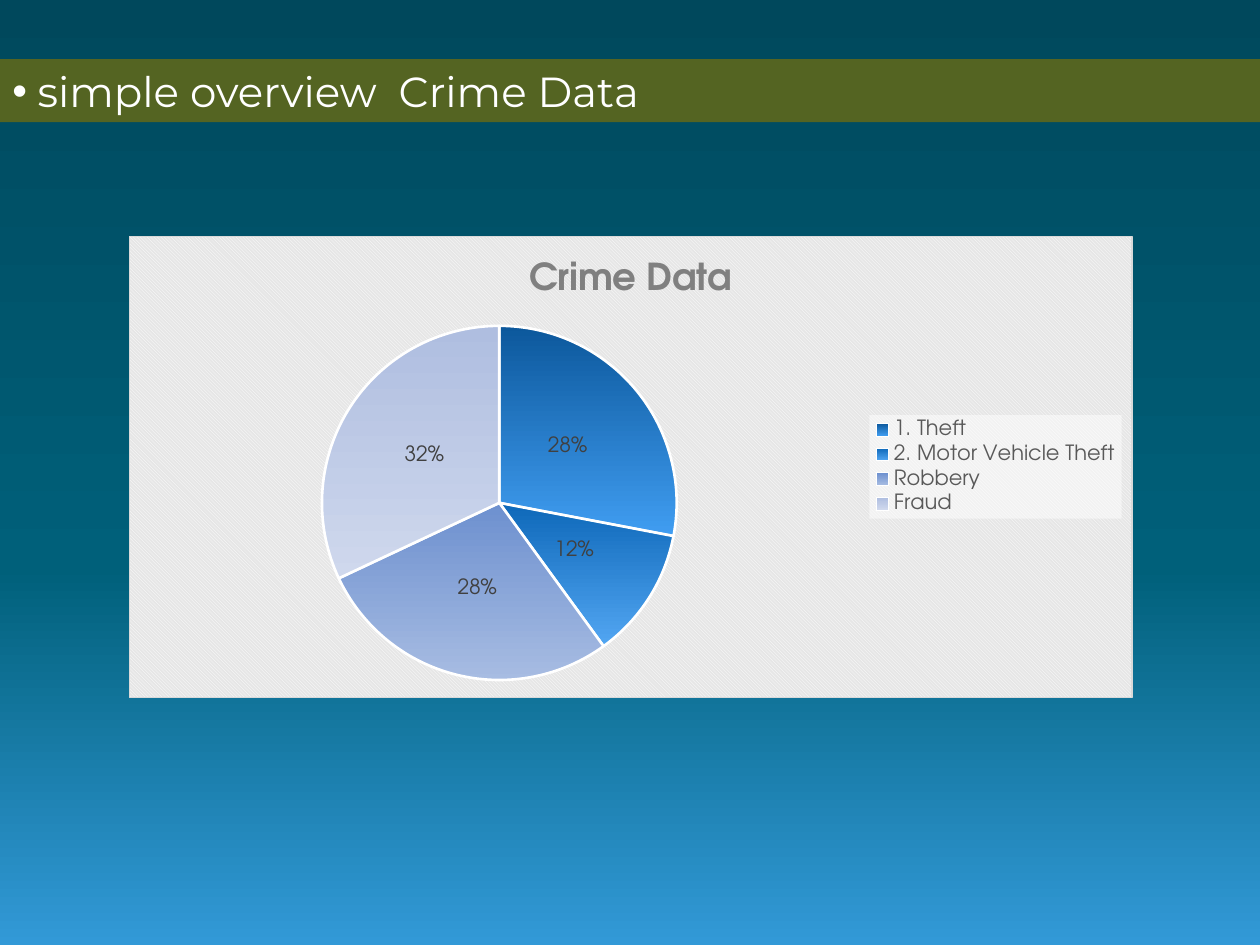
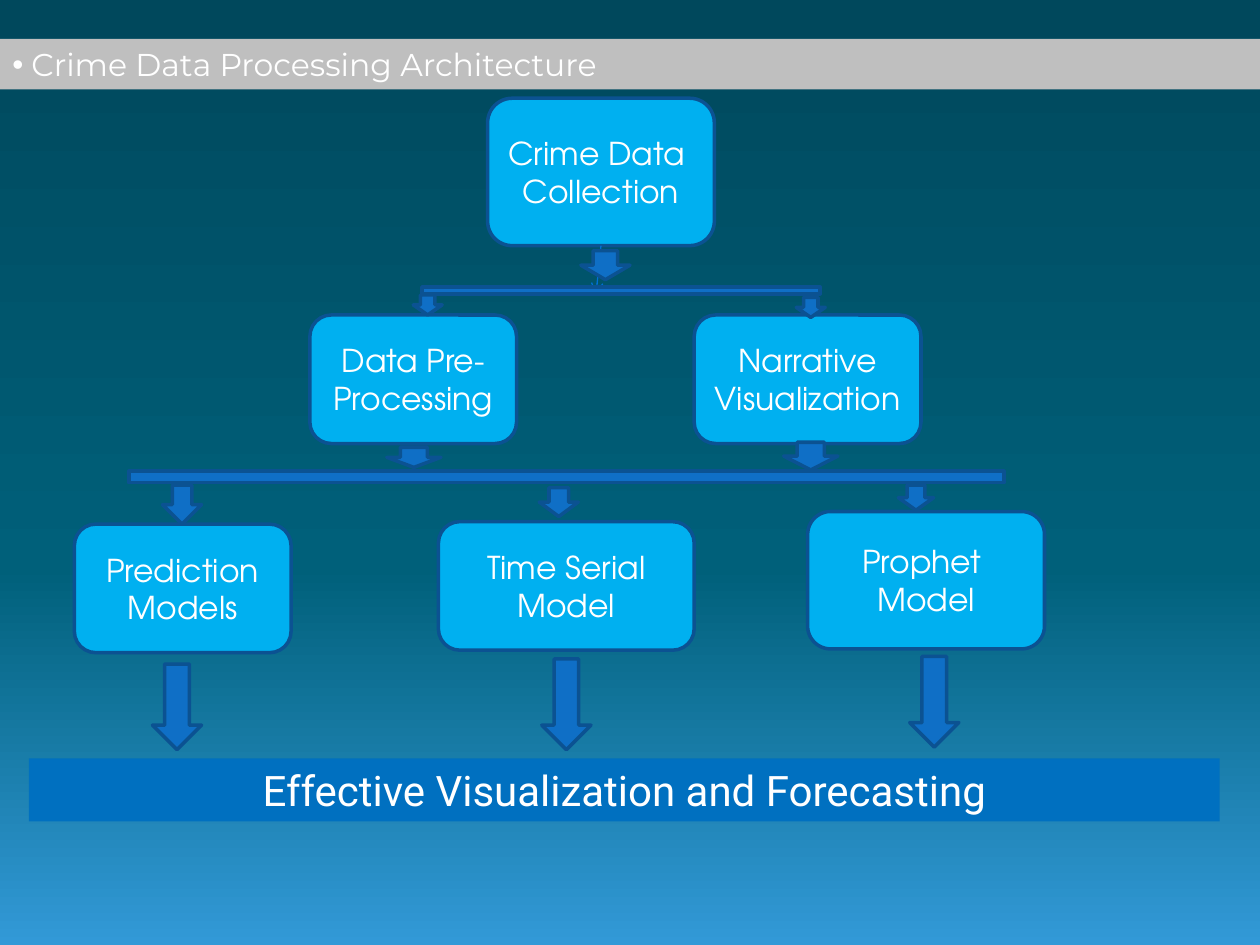
"""Build two slides on crime data: an overview chart and a processing architecture."""
from copy import deepcopy
from dataclasses import dataclass

from lxml.etree import SubElement
from pptx import Presentation
from pptx.chart.data import CategoryChartData as ChartData
from pptx.dml.color import RGBColor
from pptx.dml.fill import FillFormat
from pptx.enum.chart import XL_CHART_TYPE as ChartType
from pptx.enum.chart import XL_LABEL_POSITION as LabelPosition
from pptx.enum.chart import XL_LEGEND_POSITION as LegendPosition
from pptx.enum.shapes import MSO_CONNECTOR as Connector
from pptx.enum.shapes import MSO_SHAPE as Preset
from pptx.enum.text import MSO_ANCHOR as Anchor
from pptx.enum.text import PP_ALIGN as Align
from pptx.oxml import parse_xml
from pptx.oxml.ns import nsdecls, qn
from pptx.shapes.autoshape import Shape
from pptx.slide import Slide
from pptx.util import Inches, Pt

COLORS = {
    "white": "FFFFFF",
    "olive": "546422",
    "silver": "BFBFBF",
    "outcome": "0070C0",
    "stage": "00B0F0",
    "flow": "0F6FC6",
    "outline": "0B5292",
    "link": "0070D5",
    "chart_title": "808080",
    "legend_text": "595959",
    "label_text": "404040",
    "chart_hatch": "E6E6E6",
    "chart_border": "D9D9D9",
}
BACKDROP = [(0, "00485C"), (0.6, "00607A"), (1, "3299D7")]
TITLE_FONT, BODY_FONT, OUTCOME_FONT = "Montserrat", "TeX Gyre Adventor", "Roboto"


@dataclass(frozen=True)
class Block:
    """A preset shape's place in inches, with its text."""

    left: float
    top: float
    width: float
    height: float
    text: str = ""


@dataclass(frozen=True)
class Offence:
    """A slice of the crime chart with its gradient ends."""

    label: str
    share: int
    start: str
    end: str


OFFENCES = [
    Offence("1. Theft", 28, "0C589C", "409DF1"),
    Offence("2. Motor Vehicle Theft", 12, "0E68B9", "52A6F2"),
    Offence("Robbery", 28, "6D90CF", "A7BCE2"),
    Offence("Fraud", 32, "AFBEE0", "CFD8ED"),
]
COLLECTION = Block(3.87, 0.78, 1.8, 1.17, "Crime Data \nCollection")
STAGES = [
    Block(2.46, 2.5, 1.64, 1.02, "Data Pre-Processing"),
    Block(5.51, 2.5, 1.8, 1.02, "Narrative\nVisualization"),
    Block(0.59, 4.16, 1.72, 1.02, "Prediction\nModels"),
    Block(3.48, 4.14, 2.03, 1.02, "Time Serial Model"),
    Block(6.41, 4.06, 1.88, 1.09, "Prophet \nModel"),
]
BRANCH_BARS = [Block(2.78, 2.19, 4.3, 0.23), Block(-0.23, 3.59, 9.45, 0.39)]
FLOW_ARROWS = [
    Block(4.61, 1.99, 0.39, 0.23),
    Block(3.28, 2.34, 0.23, 0.16),
    Block(6.32, 2.36, 0.23, 0.16),
    Block(3.07, 3.55, 0.43, 0.16),
    Block(6.22, 3.51, 0.43, 0.22),
    Block(1.29, 3.85, 0.31, 0.31),
    Block(4.28, 3.87, 0.31, 0.23),
    Block(7.13, 3.85, 0.28, 0.2),
    Block(1.21, 5.27, 0.39, 0.68),
    Block(4.3, 5.23, 0.39, 0.72),
    Block(7.22, 5.21, 0.39, 0.72),
]


def rgb(name: str) -> RGBColor:
    """Look up a named colour."""
    return RGBColor.from_string(COLORS[name])


def style_font(font, size: float, color: str, name: str = BODY_FONT, bold: bool = False) -> None:
    """Set the look of any font object."""
    font.size, font.name, font.bold = Pt(size), name, bold
    font.color.rgb = rgb(color)


def paint_gradient(fill: FillFormat, stops: list[tuple[float, str]]) -> None:
    """Colour the stops of a gradient that runs from top to bottom."""
    fill.gradient_angle = 270
    for stop, (position, color) in zip(fill.gradient_stops, stops):
        stop.position = position
        stop.color.rgb = RGBColor.from_string(color)


def new_slide(deck) -> Slide:
    """Add a blank slide with the shared backdrop."""
    slide = deck.slides.add_slide(deck.slide_layouts[6])
    fill = slide.background.fill
    fill.gradient()
    stop_list = slide.element.find(".//" + qn("a:gsLst"))
    stop_list.append(deepcopy(stop_list[0]))
    paint_gradient(fill, BACKDROP)
    return slide


def write(shape: Shape, text: str, *, size: float = 18, font: str = BODY_FONT,
          align=Align.CENTER, anchor=Anchor.MIDDLE, bullet: bool = False) -> None:
    """Write white text, one paragraph a line."""
    frame = shape.text_frame
    frame.word_wrap, frame.vertical_anchor = True, anchor
    for number, line in enumerate(text.split("\n")):
        paragraph = frame.add_paragraph() if number else frame.paragraphs[0]
        paragraph.alignment = align
        run = paragraph.add_run()
        run.text = line
        style_font(run.font, size, "white", font)
        if bullet:
            indent = Pt(size * 0.6)
            properties = paragraph._p.get_or_add_pPr()
            properties.set("marL", str(indent))
            properties.set("indent", str(-indent))
            SubElement(properties, qn("a:buFont"), typeface="Arial")
            SubElement(properties, qn("a:buChar"), char="•")


def add_block(slide: Slide, preset: Preset, block: Block, fill: str, outlined: bool = True) -> Shape:
    """Draw a filled preset shape."""
    shape = slide.shapes.add_shape(
        preset, Inches(block.left), Inches(block.top), Inches(block.width), Inches(block.height))
    shape.shadow.inherit = False
    shape.fill.solid()
    shape.fill.fore_color.rgb = rgb(fill)
    if outlined:
        shape.line.color.rgb = rgb("outline")
        shape.line.width = Pt(2)
    else:
        shape.line.fill.background()
    return shape


def add_title_band(slide: Slide, block: Block, fill: str, size: float) -> None:
    """Draw the full-width title band."""
    band = add_block(slide, Preset.RECTANGLE, block, fill, outlined=False)
    write(band, block.text, size=size, font=TITLE_FONT, align=Align.LEFT, anchor=Anchor.TOP, bullet=True)


def add_stage(slide: Slide, block: Block) -> Shape:
    """Draw one rounded step of the architecture."""
    stage = add_block(slide, Preset.ROUNDED_RECTANGLE, block, "stage")
    write(stage, block.text)
    return stage


def add_crime_chart(slide: Slide) -> None:
    """Draw the pie of offences."""
    data = ChartData()
    data.categories = [offence.label for offence in OFFENCES]
    data.add_series("Crime Data", [offence.share for offence in OFFENCES])
    chart = slide.shapes.add_chart(
        ChartType.PIE, Inches(1.02), Inches(1.87), Inches(7.97), Inches(3.67), data).chart
    style_font(chart.font, 10, "white")

    chart.has_title = True
    heading = chart.chart_title.text_frame.paragraphs[0].add_run()
    heading.text = "Crime Data"
    style_font(heading.font, 21.3, "chart_title", bold=True)
    chart.chart_title.include_in_layout = False

    chart.has_legend = True
    chart.legend.position = LegendPosition.RIGHT
    chart.legend.include_in_layout = False
    style_font(chart.legend.font, 12, "legend_text")

    plot = chart.plots[0]
    plot.vary_by_categories = True
    plot.has_data_labels = True
    labels = plot.data_labels
    labels.show_percentage, labels.show_value = True, False
    labels.number_format, labels.number_format_is_linked = "0%", False
    labels.position = LabelPosition.CENTER
    style_font(labels.font, 12, "label_text")
    for index, offence in enumerate(OFFENCES):
        wedge = plot.series[0].points[index].format
        wedge.fill.gradient()
        paint_gradient(wedge.fill, [(0, offence.start), (1, offence.end)])
        wedge.line.color.rgb = rgb("white")
        wedge.line.width = Pt(1.5)

    root = chart.element
    root.find(qn("c:chart")).addnext(parse_xml(
        f'<c:spPr {nsdecls("c", "a")}><a:pattFill prst="dkDnDiag">'
        f'<a:fgClr><a:srgbClr val="{COLORS["white"]}"/></a:fgClr>'
        f'<a:bgClr><a:srgbClr val="{COLORS["chart_hatch"]}"/></a:bgClr></a:pattFill>'
        f'<a:ln w="{Pt(0.75)}"><a:solidFill><a:srgbClr val="{COLORS["chart_border"]}"/>'
        '</a:solidFill></a:ln></c:spPr>'))
    root.find(".//" + qn("c:legend")).find(qn("c:overlay")).addnext(parse_xml(
        f'<c:spPr {nsdecls("c", "a")}><a:solidFill><a:srgbClr val="{COLORS["white"]}">'
        '<a:alpha val="50000"/></a:srgbClr></a:solidFill></c:spPr>'))


def add_collection_link(slide: Slide, collection: Shape) -> None:
    """Draw the thin arrow that leaves the collection step."""
    link = slide.shapes.add_connector(
        Connector.STRAIGHT, Inches(4.77), Inches(1.95), Inches(4.73), Inches(2.34))
    link.begin_connect(collection, 2)
    link.line.color.rgb = rgb("link")
    link.line.width = Pt(0.75)
    SubElement(link.line._get_or_add_ln(), qn("a:tailEnd"), type="arrow")
    SubElement(link._element.spPr, qn("a:effectLst"))


def build_overview(deck) -> None:
    """Build the slide with the crime chart."""
    slide = new_slide(deck)
    add_crime_chart(slide)
    add_title_band(slide, Block(0, 0.47, 10, 0.5, "simple overview  Crime Data"), "olive", 24)


def build_architecture(deck) -> None:
    """Build the slide with the processing steps."""
    slide = new_slide(deck)
    add_title_band(slide, Block(0, 0.31, 10, 0.4, "Crime Data Processing Architecture"), "silver", 18)
    outcome = Block(0.23, 6.02, 9.45, 0.5, "Effective Visualization and Forecasting")
    outcome_band = add_block(slide, Preset.RECTANGLE, outcome, "outcome", outlined=False)
    write(outcome_band, outcome.text, size=24, font=OUTCOME_FONT, anchor=Anchor.TOP)
    add_collection_link(slide, add_stage(slide, COLLECTION))
    for stage in STAGES:
        add_stage(slide, stage)
    for preset, blocks in ((Preset.MATH_MINUS, BRANCH_BARS), (Preset.DOWN_ARROW, FLOW_ARROWS)):
        for block in blocks:
            add_block(slide, preset, block, "flow")


def main() -> None:
    """Build and save the deck."""
    deck = Presentation()
    deck.slide_width, deck.slide_height = Inches(10), Inches(7.5)
    build_overview(deck)
    build_architecture(deck)
    deck.save("out.pptx")


if __name__ == "__main__":
    main()
